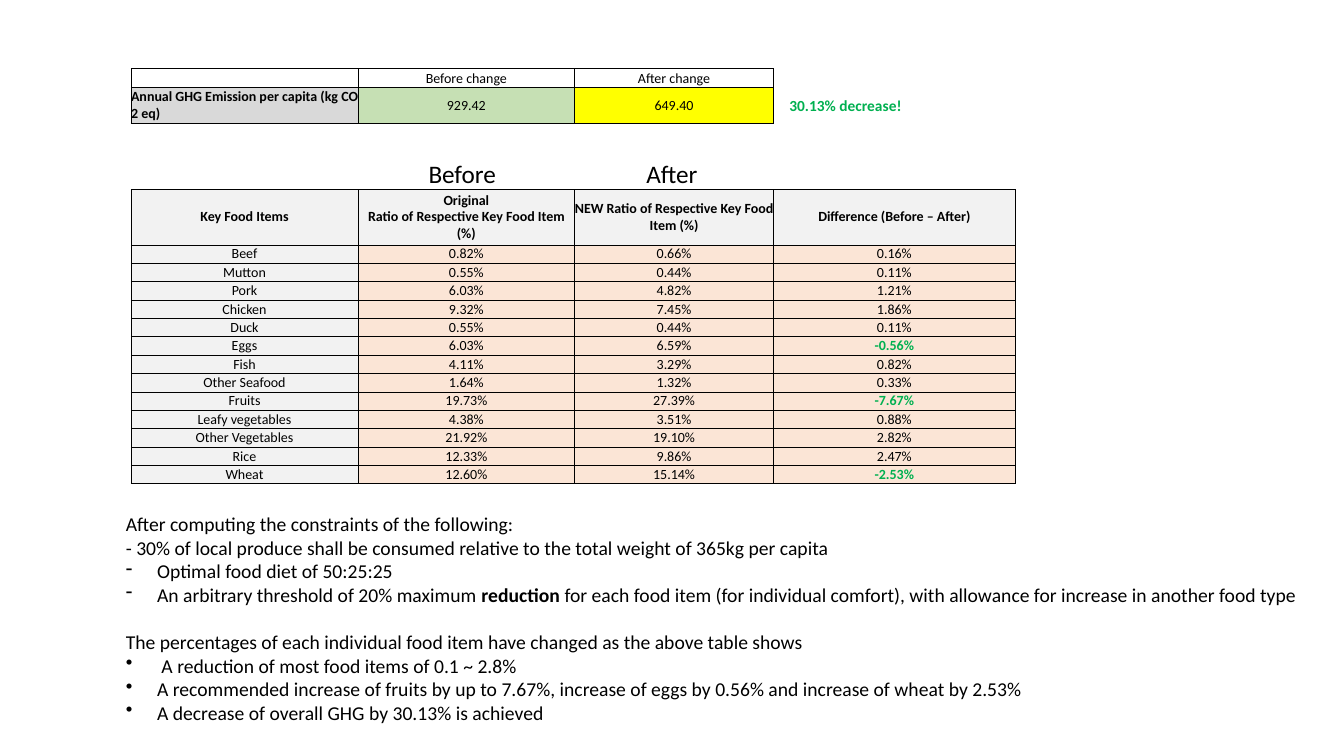
from lxml import etree
from pptx import Presentation
from pptx import util as u
from pptx.dml.color import RGBColor
from pptx.enum import text
from pptx.oxml import ns

BLACK = RGBColor(0, 0, 0)
WHITE = RGBColor(255, 255, 255)
GREEN = RGBColor(0, 176, 80)
PALE = RGBColor(242, 242, 242)
PEACH = RGBColor(251, 229, 214)
GREY = RGBColor(217, 217, 217)
LIME = RGBColor(198, 224, 180)
YELLOW = RGBColor(255, 255, 0)
FONT = "Calibri"

HEAD = ("Key Food Items", "Original\nRatio of Respective Key Food Item (%)",
        "NEW Ratio of Respective Key Food Item (%)", "Difference (Before – After)")
FOODS = [
    ("Beef", "0.82%", "0.66%", "0.16%"),
    ("Mutton", "0.55%", "0.44%", "0.11%"),
    ("Pork", "6.03%", "4.82%", "1.21%"),
    ("Chicken", "9.32%", "7.45%", "1.86%"),
    ("Duck", "0.55%", "0.44%", "0.11%"),
    ("Eggs", "6.03%", "6.59%", "-0.56%"),
    ("Fish", "4.11%", "3.29%", "0.82%"),
    ("Other Seafood", "1.64%", "1.32%", "0.33%"),
    ("Fruits", "19.73%", "27.39%", "-7.67%"),
    ("Leafy vegetables", "4.38%", "3.51%", "0.88%"),
    ("Other Vegetables", "21.92%", "19.10%", "2.82%"),
    ("Rice", "12.33%", "9.86%", "2.47%"),
    ("Wheat", "12.60%", "15.14%", "-2.53%"),
]
TOTALS = [
    ("", "Before change", "After change"),
    ("Annual GHG Emission per capita (kg CO 2 eq)", "929.42", "649.40"),
]
FILLS = (GREY, LIME, YELLOW)
NOTES = [
    ("", ["After computing the constraints of the following:"]),
    ("", ["- 30% of local produce shall be consumed relative to the total weight of 365kg per capita"]),
    ("-", ["Optimal food diet of 50:25:25"]),
    ("-", ["An arbitrary threshold of 20% maximum ", "reduction",
           " for each food item (for individual comfort), with allowance for increase in another food type"]),
    ("", ["The percentages of each individual food item have changed as the above table shows"]),
    ("•", [" A reduction of most food items of 0.1 ~ 2.8%"]),
    ("•", ["A recommended increase of fruits by up to 7.67%, increase of eggs by 0.56% and increase of wheat by 2.53%"]),
    ("•", ["A decrease of overall GHG by 30.13% is achieved"]),
]
BREAK = 4
LEFT = 1.3
COLS = (2.25, 2.15, 1.97, 2.4)
ROW = 2.37 / len(FOODS)
MID = text.MSO_ANCHOR.MIDDLE
LOW = text.MSO_ANCHOR.BOTTOM
CENTER = text.PP_ALIGN.CENTER
START = text.PP_ALIGN.LEFT


def add_run(para, words, size, color=BLACK, bold=False):
    run = para.add_run()
    run.text = words
    font = run.font
    font.name, font.size, font.bold = FONT, u.Pt(size), bold
    font.color.rgb = color


def add_edges(cell):
    props = cell._tc.get_or_add_tcPr()
    for i, side in enumerate(("lnL", "lnR", "lnT", "lnB")):
        line = etree.Element(ns.qn("a:" + side), w=str(u.Pt(0.5)))
        fill = etree.SubElement(line, ns.qn("a:solidFill"))
        etree.SubElement(fill, ns.qn("a:srgbClr"), val=str(BLACK))
        props.insert(i, line)


def fill_cell(cell, words, fill, color=BLACK, bold=False, align=CENTER, anchor=MID):
    cell.margin_left = cell.margin_right = cell.margin_top = cell.margin_bottom = 0
    cell.vertical_anchor = anchor
    cell.fill.solid()
    cell.fill.fore_color.rgb = fill
    add_edges(cell)
    para = cell.text_frame.paragraphs[0]
    para.alignment = align
    if not words:
        etree.SubElement(para._p, ns.qn("a:endParaRPr"), sz="1000")
        return
    for i, part in enumerate(words.split("\n")):
        if i:
            para.add_line_break()
        add_run(para, part, 10, color, bold)


def add_grid(slide, top, cols, rows):
    frame = slide.shapes.add_table(len(rows), len(cols), u.Inches(LEFT), u.Inches(top),
                                   u.Inches(sum(cols)), u.Inches(sum(rows)))
    grid = frame.table
    grid.first_row = grid.horz_banding = False
    for col, wide in zip(grid.columns, cols):
        col.width = u.Inches(wide)
    for row, high in zip(grid.rows, rows):
        row.height = u.Inches(high)
    return grid


def add_box(slide, *place):
    frame = slide.shapes.add_textbox(*map(u.Inches, place)).text_frame
    frame.word_wrap = True
    frame.auto_size = text.MSO_AUTO_SIZE.SHAPE_TO_FIT_TEXT
    return frame


def add_foods(slide):
    grid = add_grid(slide, 1.88, COLS, [0.55] + [ROW] * len(FOODS))
    for r, row in enumerate([HEAD] + FOODS):
        for c, words in enumerate(row):
            gain = words.startswith("-")
            fill_cell(grid.cell(r, c), words, PEACH if r and c else PALE,
                      GREEN if gain else BLACK, gain or r == 0)


def add_totals(slide):
    grid = add_grid(slide, 0.68, COLS[:3], (ROW, 2 * ROW))
    for r, row in enumerate(TOTALS):
        for c, words in enumerate(row):
            label = r == 1 and c == 0
            fill_cell(grid.cell(r, c), words, FILLS[c] if r else WHITE, bold=label,
                      align=START if label else CENTER, anchor=MID if r else LOW)


def add_notes(slide):
    frame = add_box(slide, 1.15, 5.03, 11.84, 2.22)
    for i, (mark, parts) in enumerate(NOTES):
        para = frame.add_paragraph() if i else frame.paragraphs[0]
        if i == BREAK:
            para.space_before = u.Pt(17)
        if mark:
            props = para._p.get_or_add_pPr()
            props.set("marL", str(u.Inches(0.31)))
            props.set("indent", str(-u.Inches(0.31)))
            etree.SubElement(props, ns.qn("a:buChar"), char=mark)
        for j, part in enumerate(parts):
            add_run(para, part, 14, bold=j == 1)


def main():
    deck = Presentation()
    deck.slide_width, deck.slide_height = u.Inches(13.33), u.Inches(7.5)
    slide = deck.slides.add_slide(deck.slide_layouts[6])
    add_foods(slide)
    for left, words in ((3.85, "Before"), (5.93, "After")):
        para = add_box(slide, left, 1.52, 1.47, 0.4).paragraphs[0]
        para.alignment = CENTER
        add_run(para, words, 18)
    add_notes(slide)
    add_totals(slide)
    change = add_box(slide, 7.73, 0.9, 1.45, 0.29).paragraphs[0]
    add_run(change, "30.13% decrease!", 11, GREEN, True)
    deck.save("out.pptx")


if __name__ == "__main__":
    main()
